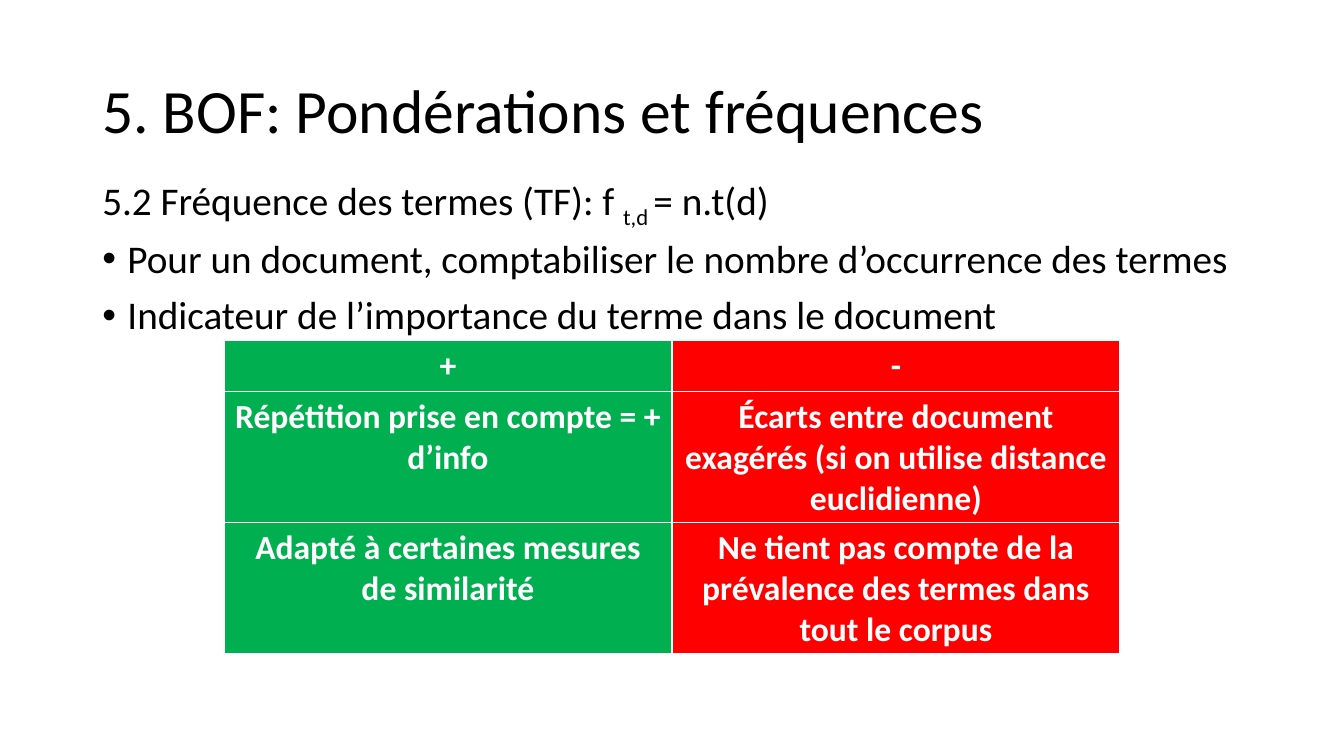
from dataclasses import dataclass

from lxml import etree
from pptx import Presentation
from pptx.dml.color import RGBColor
from pptx.enum.text import MSO_ANCHOR, PP_ALIGN
from pptx.oxml.ns import qn
from pptx.slide import Slide
from pptx.util import Pt

CENTER = PP_ALIGN.CENTER
MIDDLE = MSO_ANCHOR.MIDDLE
TOP = MSO_ANCHOR.TOP


@dataclass(frozen=True)
class Theme:
    font: str = "Calibri"
    ink: str = "000000"
    paper: str = "FFFFFF"
    plus: str = "00B050"
    minus: str = "FF0000"
    title_size: float = 44
    body_size: float = 28
    cell_size: float = 24


@dataclass(frozen=True)
class Span:
    text: str
    baseline: int = 0


@dataclass(frozen=True)
class Line:
    spans: tuple[Span, ...]
    bullet: bool = False


@dataclass(frozen=True)
class TextBlock:
    left: float
    top: float
    width: float
    height: float
    size: float
    lines: tuple[Line, ...]
    anchor: MSO_ANCHOR = TOP
    space_before: float = 0


@dataclass(frozen=True)
class Column:
    color: str
    cells: tuple[str, ...]


THEME = Theme()

TITLE = TextBlock(
    66, 28.75, 828, 104.4, THEME.title_size,
    (Line((Span("5. BOF: Pondérations et fréquences"),)),),
    anchor=MIDDLE,
)

BODY = TextBlock(
    66, 123.1, 828, 362.9, THEME.body_size,
    (
        Line((
            Span("5.2 Fréquence des termes (TF): f "),
            Span("t,d ", baseline=-25000),
            Span("= n.t(d)"),
        )),
        Line((Span("Pour un document, comptabiliser le nombre d’occurrence des termes"),), bullet=True),
        Line((Span("Indicateur de l’importance du terme dans le document"),), bullet=True),
    ),
    space_before=10,
)

COLUMNS = (
    Column(THEME.plus, (
        "+",
        "Répétition prise en compte = + d’info",
        "Adapté à certaines mesures de similarité",
    )),
    Column(THEME.minus, (
        "-",
        "Écarts entre document exagérés (si on utilise distance euclidienne)",
        "Ne tient pas compte de la prévalence des termes dans tout le corpus",
    )),
)
TABLE_LEFT, TABLE_TOP = 160, 243.4
COLUMN_WIDTH, ROW_HEIGHT = 320, 29.2


def set_format(target: object, values: dict[str, object]) -> None:
    for name, value in values.items():
        setattr(target, name, value)


def style_span(span, size: float, color: str, bold: bool = False) -> None:
    set_format(span.font, {"name": THEME.font, "size": Pt(size), "bold": bold})
    span.font.color.rgb = RGBColor.from_string(color)


def add_bullet(para) -> None:
    properties = para._p.get_or_add_pPr()
    set_format(properties, {})
    properties.set("marL", str(Pt(18)))
    properties.set("indent", str(-Pt(18)))
    etree.SubElement(properties, qn("a:buFont")).set("typeface", "Arial")
    etree.SubElement(properties, qn("a:buChar")).set("char", "•")


def add_text(page: Slide, block: TextBlock) -> None:
    box = page.shapes.add_textbox(
        Pt(block.left), Pt(block.top), Pt(block.width), Pt(block.height)
    )
    frame = box.text_frame
    set_format(frame, {"word_wrap": True, "vertical_anchor": block.anchor})
    for index, line in enumerate(block.lines):
        para = frame.add_paragraph() if index else frame.paragraphs[0]
        set_format(para, {"line_spacing": 0.9, "space_before": Pt(block.space_before)})
        if line.bullet:
            add_bullet(para)
        for part in line.spans:
            span = para.add_run()
            span.text = part.text
            style_span(span, block.size, THEME.ink)
            if part.baseline:
                span._r.get_or_add_rPr().set("baseline", str(part.baseline))


def add_comparison(page: Slide, columns: tuple[Column, ...]) -> None:
    row_count = len(columns[0].cells)
    table = page.shapes.add_table(
        row_count, len(columns), Pt(TABLE_LEFT), Pt(TABLE_TOP),
        Pt(COLUMN_WIDTH * len(columns)), Pt(ROW_HEIGHT * row_count),
    ).table
    # The default table style supplies the white rules
    for column_index, column in enumerate(columns):
        for row_index, text in enumerate(column.cells):
            cell = table.cell(row_index, column_index)
            cell.fill.solid()
            cell.fill.fore_color.rgb = RGBColor.from_string(column.color)
            para = cell.text_frame.paragraphs[0]
            para.alignment = CENTER
            span = para.add_run()
            span.text = text
            style_span(span, THEME.cell_size, THEME.paper, bold=True)


def main() -> None:
    deck = Presentation()
    set_format(deck, {"slide_width": Pt(960), "slide_height": Pt(540)})
    page = deck.slides.add_slide(deck.slide_layouts[6])

    # Title and body text
    for block in (TITLE, BODY):
        add_text(page, block)

    # Advantages and drawbacks
    add_comparison(page, COLUMNS)

    deck.save("out.pptx")


if __name__ == "__main__":
    main()
